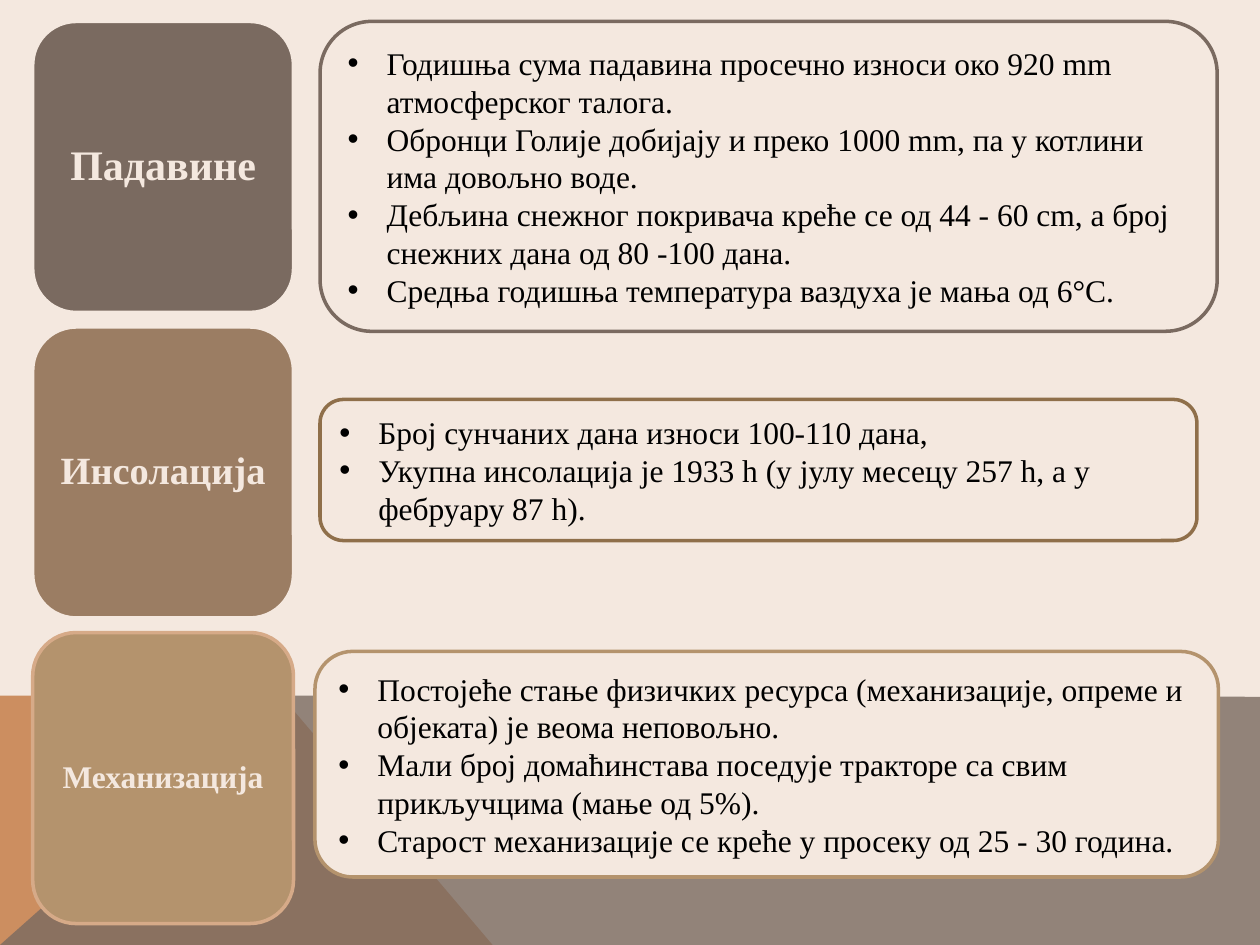
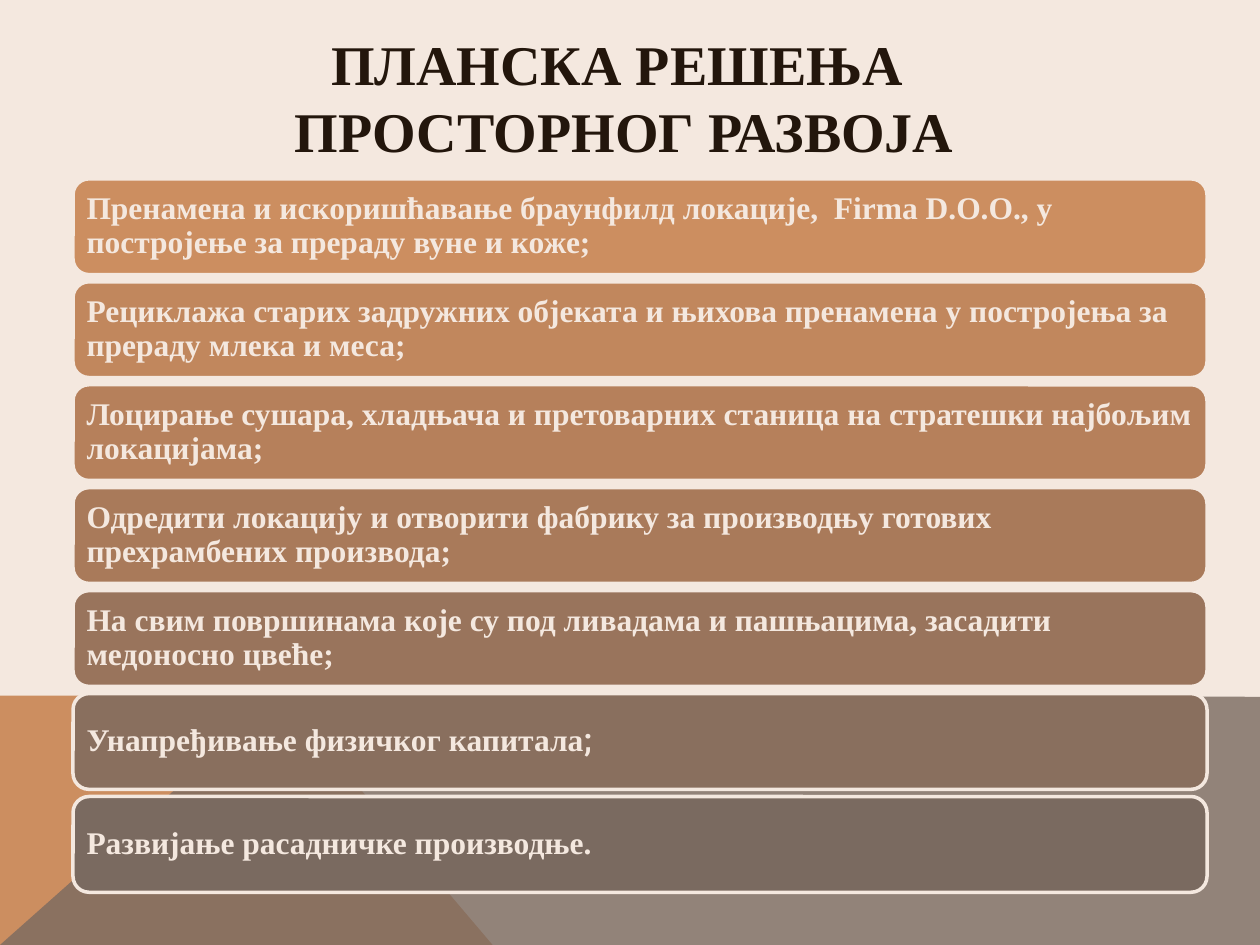
"""Build two slides on local resources and planned spatial development."""

from dataclasses import dataclass

import lxml.etree
import pptx
import pptx.dml.color
import pptx.enum.shapes
import pptx.enum.text
import pptx.oxml.ns
import pptx.slide
import pptx.util

Inches = pptx.util.Inches
Pt = pptx.util.Pt
RGBColor = pptx.dml.color.RGBColor
Align = pptx.enum.text.PP_ALIGN
Anchor = pptx.enum.text.MSO_ANCHOR
qn = pptx.oxml.ns.qn

CREAM = RGBColor(0xF4, 0xE8, 0xDF)
ORANGE = RGBColor(0xCC, 0x8E, 0x60)
TAUPE = RGBColor(0x7A, 0x6A, 0x60)
BROWN = RGBColor(0x9B, 0x7D, 0x63)
SAND = RGBColor(0xB4, 0x93, 0x6D)
PEACH = RGBColor(0xD6, 0xAA, 0x88)
BRONZE = RGBColor(0x8F, 0x6F, 0x4A)
ESPRESSO = RGBColor(0x23, 0x16, 0x0C)
BLACK = RGBColor(0, 0, 0)

SERIF = "Times New Roman"
SANS = "Roboto"
BAND_TOP = 5.52
LABEL_TOP, LABEL_STEP = 0.17, 2.425
BAR_TOP, BAR_STEP = 1.42, 0.817


@dataclass(frozen=True)
class Style:
    """Look of the text in a box."""

    size: float
    color: RGBColor
    bold: bool = True
    align: Align = Align.LEFT
    spacing: float = 1.0
    inset: tuple[float, float] = (0.1, 0.05)
    bulleted: bool = False


@dataclass(frozen=True)
class Panel:
    """Rounded box with its place, colours and paragraphs."""

    left: float
    top: float
    width: float
    height: float
    fill: RGBColor
    line: RGBColor
    lines: tuple[str, ...]
    style: Style


@dataclass(frozen=True)
class Label:
    """Heading of a resource group."""

    text: str
    size: float
    fill: RGBColor
    line: RGBColor = CREAM


@dataclass(frozen=True)
class Bar:
    """One planned measure."""

    text: str
    fill: RGBColor
    ending: str = ""


CARD_STYLE = Style(18, BLACK, bold=False, bulleted=True)
BAR_STYLE = Style(18, CREAM, spacing=0.9, inset=(0.07, 0.07))
TITLE_STYLE = Style(32, ESPRESSO, align=Align.CENTER)

LABELS = (
    Label("Падавине", 24, TAUPE),
    Label("Инсолација", 22, BROWN),
    Label("Механизација", 18, SAND, PEACH),
)

CARDS = (
    Panel(2.54, 0.17, 7.12, 2.46, CREAM, TAUPE, (
        "Годишња сума падавина просечно износи око 920 mm атмосферског талога.",
        "Обронци Голије добијају и преко 1000 mm, па у котлини има довољно воде.",
        "Дебљина снежног покривача креће се од 44 - 60 cm, а број снежних дана од 80 -100 дана.",
        "Средња годишња температура ваздуха је мања од 6°C.",
    ), CARD_STYLE),
    Panel(2.5, 5.17, 7.17, 1.79, CREAM, SAND, (
        "Постојеће стање физичких ресурса (механизације, опреме и објеката) је веома неповољно.",
        "Мали број домаћинстава поседује тракторе са свим прикључцима (мање од 5%).",
        "Старост механизације се креће у просеку од 25 - 30 година.",
    ), CARD_STYLE),
    Panel(2.54, 3.17, 6.96, 1.12, CREAM, BRONZE, (
        "Број сунчаних дана износи 100-110 дана,",
        "Укупна инсолација је 1933 h (у јулу месецу 257 h, а у фебруару 87 h).",
    ), CARD_STYLE),
)

BARS = (
    Bar("Пренамена и искоришћавање браунфилд локације,  Firma D.О.О., у постројење за прераду вуне и коже;",
        ORANGE),
    Bar("Рециклажа старих задружних објеката и њихова пренамена у постројења за прераду млека и меса;",
        RGBColor(0xC1, 0x87, 0x5D)),
    Bar("Лоцирање сушара, хладњача и претоварних станица на стратешки најбољим локацијама;",
        RGBColor(0xB6, 0x80, 0x5B)),
    Bar("Одредити локацију и отворити фабрику за производњу готових прехрамбених производа;",
        RGBColor(0xA9, 0x7A, 0x5A)),
    Bar("На свим површинама које су под ливадама и пашњацима, засадити медоносно цвеће;",
        RGBColor(0x99, 0x74, 0x5C)),
    Bar("Унапређивање физичког капитала", RGBColor(0x89, 0x6F, 0x5E), ending=";"),
    Bar("Развијање расадничке производње.", TAUPE),
)


def format_span(span, style: Style, font: str = SERIF) -> None:
    """Apply the font of a style to one run."""
    span.font.name = font
    span.font.size = Pt(style.size)
    span.font.bold = style.bold
    span.font.color.rgb = style.color


def add_bullet(para) -> None:
    """Give a paragraph a round bullet with a hanging indent."""
    properties = para._p.get_or_add_pPr()
    properties.set("marL", str(Inches(0.31)))
    properties.set("indent", str(-Inches(0.31)))
    lxml.etree.SubElement(properties, qn("a:buFont"), typeface="Arial")
    lxml.etree.SubElement(properties, qn("a:buChar"), char="•")


def write_text(box, lines: tuple[str, ...], style: Style) -> None:
    """Fill a box with styled paragraphs."""
    frame = box.text_frame
    frame.word_wrap = True
    frame.vertical_anchor = Anchor.MIDDLE
    frame.margin_left = frame.margin_right = Inches(style.inset[0])
    frame.margin_top = frame.margin_bottom = Inches(style.inset[1])
    frame.text = "\n".join(lines)
    for para in frame.paragraphs:
        para.alignment = style.align
        para.line_spacing = style.spacing
        if style.bulleted:
            add_bullet(para)
        for span in para.runs:
            format_span(span, style)


def add_panel(page: pptx.slide.Slide, panel: Panel):
    """Draw a rounded box with its text."""
    box = page.shapes.add_shape(
        pptx.enum.shapes.MSO_SHAPE.ROUNDED_RECTANGLE,
        Inches(panel.left), Inches(panel.top), Inches(panel.width), Inches(panel.height))
    box.shadow.inherit = False
    box.fill.solid()
    box.fill.fore_color.rgb = panel.fill
    box.line.color.rgb = panel.line
    box.line.width = Pt(2)
    write_text(box, panel.lines, panel.style)
    return box


def add_band(page: pptx.slide.Slide, corners: tuple[tuple[float, float], ...],
             color: RGBColor, opacity: int = 100) -> None:
    """Draw one polygon of the bottom band."""
    points = [(Inches(x), Inches(y)) for x, y in corners]
    builder = page.shapes.build_freeform(*points[0])
    builder.add_line_segments(points[1:], close=True)
    band = builder.convert_to_shape()
    band.shadow.inherit = False
    band.line.fill.background()
    band.fill.solid()
    band.fill.fore_color.rgb = color
    if opacity < 100:
        tint = band.fill._xPr.find(qn("a:solidFill"))[0]
        lxml.etree.SubElement(tint, qn("a:alpha"), val=str(opacity * 1000))


def add_page(deck) -> pptx.slide.Slide:
    """Add a blank page with the shared background and bottom band."""
    page = deck.slides.add_slide(deck.slide_layouts[6])
    page.background.fill.solid()
    page.background.fill.fore_color.rgb = CREAM
    add_band(page, ((0, 7.5), (0, BAND_TOP), (2.23, BAND_TOP), (3.91, 7.5)), ORANGE)
    add_band(page, ((0, 7.5), (2.23, BAND_TOP), (10, BAND_TOP + 0.01), (10, 7.5)), TAUPE, opacity=80)
    return page


def build_resources(deck) -> None:
    """Draw the resource labels and the cards beside them."""
    page = add_page(deck)
    for index, label in enumerate(LABELS):
        style = Style(label.size, CREAM, align=Align.CENTER, spacing=0.9, inset=(0.07, 0.04))
        add_panel(page, Panel(0.26, LABEL_TOP + index * LABEL_STEP, 2.07, 2.31,
                              label.fill, label.line, (label.text,), style))
    for card in CARDS:
        add_panel(page, card)


def build_measures(deck) -> None:
    """Draw the title and the stack of planned measures."""
    page = add_page(deck)
    title = page.shapes.add_textbox(Inches(0.33), Inches(0.08), Inches(9.25), Inches(1.37))
    write_text(title, ("ПЛАНСКА РЕШЕЊА \vПРОСТОРНОГ РАЗВОЈА",), TITLE_STYLE)
    for index, bar in enumerate(BARS):
        box = add_panel(page, Panel(0.58, BAR_TOP + index * BAR_STEP, 9, 0.76,
                                    bar.fill, CREAM, (bar.text,), BAR_STYLE))
        if bar.ending:
            span = box.text_frame.paragraphs[0].add_run()
            span.text = bar.ending
            format_span(span, BAR_STYLE, SANS)


def main() -> None:
    """Build and save the deck."""
    deck = pptx.Presentation()
    deck.slide_width = Inches(10)
    deck.slide_height = Inches(7.5)
    build_resources(deck)
    build_measures(deck)
    deck.save("out.pptx")


if __name__ == "__main__":
    main()
